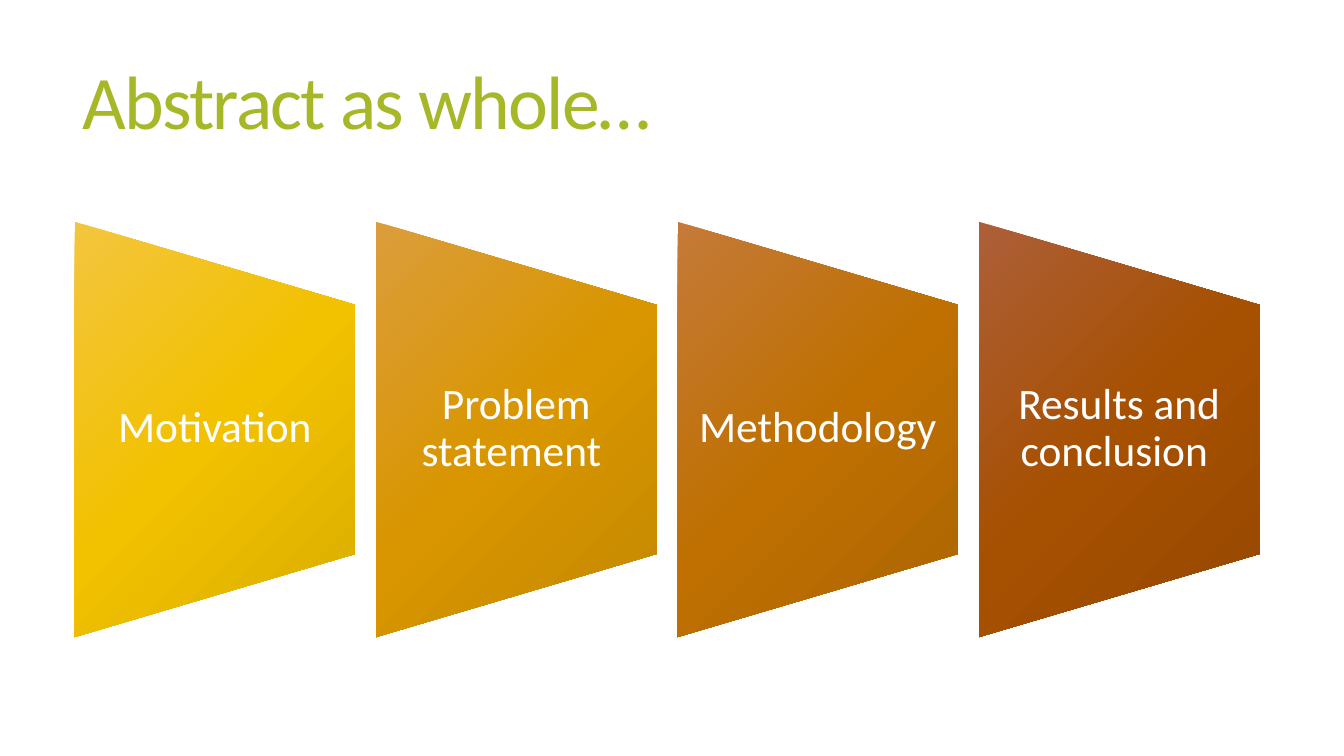
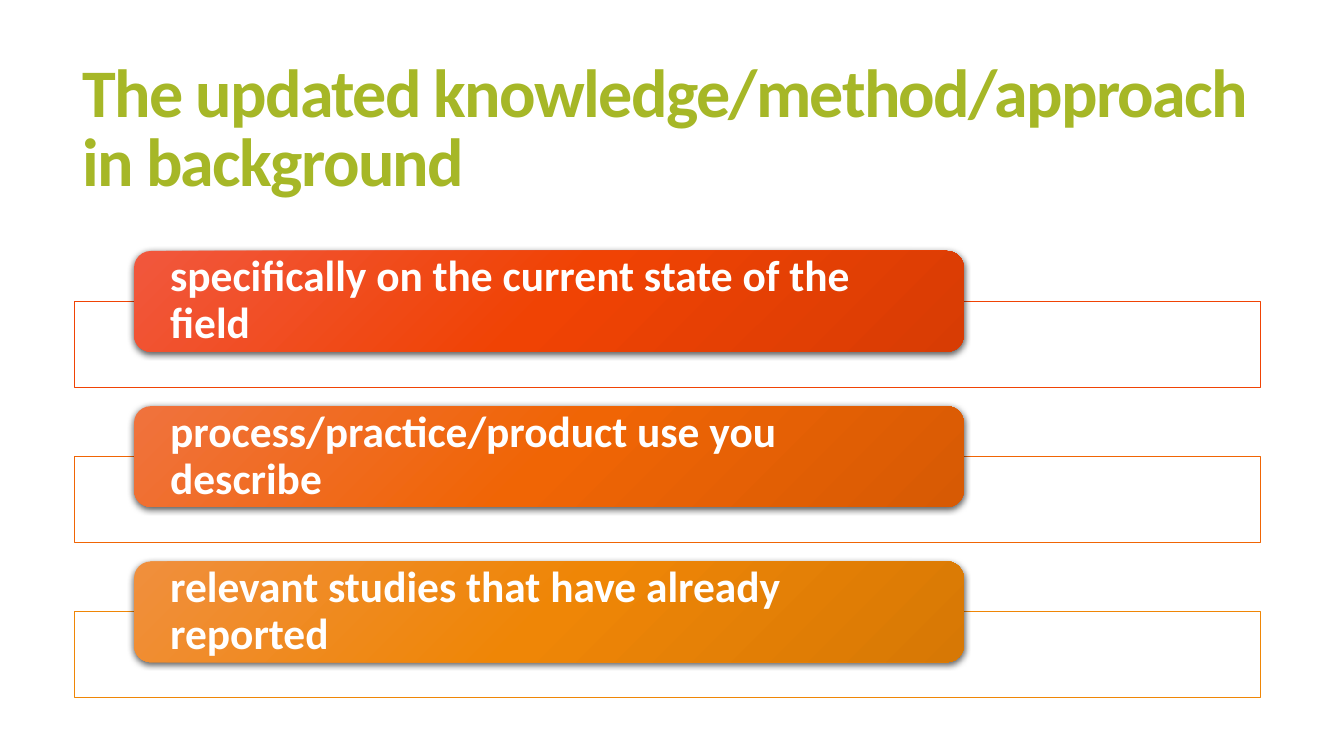
"""Build two slides: the parts of an abstract and the points of its background."""
from typing import NamedTuple

import lxml.etree
import pptx
import pptx.dml.color
import pptx.enum.shapes
import pptx.enum.text
import pptx.oxml.ns
import pptx.presentation
import pptx.shapes.autoshape
import pptx.slide
import pptx.text.text
import pptx.util

Inches = pptx.util.Inches
Align = pptx.enum.text.PP_ALIGN
Preset = pptx.enum.shapes.MSO_SHAPE
qn = pptx.oxml.ns.qn

FONT = "Calibri"
GREEN = "A6B727"
WHITE = "FFFFFF"
BLANK_LAYOUT = 6
LEFT_MARGIN = 0.74


class Box(NamedTuple):
    left: float
    top: float
    width: float
    height: float


class TextStyle(NamedTuple):
    size: float
    color: str = WHITE
    bold: bool = False
    spacing: float = 0
    line_spacing: float = 0.9
    align: Align = Align.LEFT
    inset_x: float = 0.1
    inset_y: float = 0


class Item(NamedTuple):
    text: str
    light: str
    base: str
    dark: str


ABSTRACT_PARTS = [
    Item("Motivation", "F3C53D", "F2C100", "D9AD00"),
    Item("Problem statement ", "DB9D3C", "D99600", "C38700"),
    Item("Methodology ", "C57A39", "BF7001", "AC6501"),
    Item("Results and conclusion ", "AD5F39", "A65001", "954801"),
]
BACKGROUND_POINTS = [
    Item("specifically on the current state of the field", "F1573D", "F04304", "D83C04"),
    Item("process/practice/product use you describe", "F0723D", "F06505", "D75A04"),
    Item("relevant studies that have already reported", "F08F3D", "EF8606", "D77805"),
]
PART_STYLE = TextStyle(31, align=Align.CENTER, inset_x=0.21)
POINT_STYLE = TextStyle(31, bold=True, inset_x=0.31)


def rgb(color: str) -> pptx.dml.color.RGBColor:
    """Turn a hex string into a colour."""
    return pptx.dml.color.RGBColor.from_string(color)


def add_color(parent: lxml.etree._Element, color: str, alpha: int = 100) -> None:
    """Append a colour with its opacity in percent."""
    color_node = lxml.etree.SubElement(parent, qn("a:srgbClr"), val=color)
    if alpha < 100:
        lxml.etree.SubElement(color_node, qn("a:alpha"), val=str(alpha * 1000))


def write(frame: pptx.text.text.TextFrame, text: str, style: TextStyle) -> None:
    """Fill a text frame with one styled paragraph."""
    frame.word_wrap = True
    frame.vertical_anchor = pptx.enum.text.MSO_ANCHOR.MIDDLE
    frame.margin_left = frame.margin_right = Inches(style.inset_x)
    frame.margin_top = frame.margin_bottom = Inches(style.inset_y)
    paragraph = frame.paragraphs[0]
    paragraph.alignment = style.align
    paragraph.line_spacing = style.line_spacing
    run = paragraph.add_run()
    run.text = text
    run.font.name = FONT
    run.font.size = pptx.util.Pt(style.size)
    run.font.bold = style.bold
    run.font.color.rgb = rgb(style.color)
    if style.spacing:
        run.font._element.set("spc", str(round(style.spacing * 100)))


def add_text(slide: pptx.slide.Slide, box: Box, text: str, style: TextStyle) -> None:
    """Add a text box."""
    label = slide.shapes.add_textbox(*map(Inches, box))
    write(label.text_frame, text, style)


def add_plain_shape(slide: pptx.slide.Slide, preset: Preset, box: Box) -> pptx.shapes.autoshape.Shape:
    """Add a preset shape without shadow or outline."""
    shape = slide.shapes.add_shape(preset, *map(Inches, box))
    shape.shadow.inherit = False
    shape.line.fill.background()
    return shape


def shade(shape: pptx.shapes.autoshape.Shape, item: Item) -> None:
    """Fill a shape with a diagonal gradient that stays upright on the slide."""
    shape.fill.gradient()
    gradient = shape._element.spPr.find(qn("a:gradFill"))
    gradient.clear()
    gradient.set("rotWithShape", "0")
    stops = lxml.etree.SubElement(gradient, qn("a:gsLst"))
    for position, color in zip((0, 50, 100), (item.light, item.base, item.dark)):
        add_color(lxml.etree.SubElement(stops, qn("a:gs"), pos=str(position * 1000)), color)
    lxml.etree.SubElement(gradient, qn("a:lin"), ang=str(45 * 60000), scaled="0")


def drop_shadow(shape: pptx.shapes.autoshape.Shape) -> None:
    """Cast a soft shadow straight down."""
    effects = shape._element.spPr.find(qn("a:effectLst"))
    shadow = lxml.etree.SubElement(
        effects, qn("a:outerShdw"),
        blurRad=str(pptx.util.Pt(4.5)), dist=str(pptx.util.Pt(1.5)),
        dir=str(90 * 60000), algn="ctr", rotWithShape="0",
    )
    add_color(shadow, "000000", 63)


def add_titled_slide(
    deck: pptx.presentation.Presentation, title: str, size: float, height: float, bold: bool = False
) -> pptx.slide.Slide:
    """Add a blank slide with the shared title style."""
    slide = deck.slides.add_slide(deck.slide_layouts[BLANK_LAYOUT])
    style = TextStyle(size, GREEN, bold, spacing=-1.2, line_spacing=0.85, inset_y=0.05)
    add_text(slide, Box(0.72, 0.55, 11.78, height), title, style)
    return slide


def add_abstract_part(slide: pptx.slide.Slide, index: int, part: Item) -> None:
    """Draw one tapering panel, turned on its side, with its label."""
    width, length, top = 2.78, 4.12, 2.87
    left = LEFT_MARGIN + 2.99 * index
    panel_box = Box(left - (length - width) / 2, top, length, width)
    panel = add_plain_shape(slide, Preset.FLOWCHART_MANUAL_OPERATION, panel_box)
    panel.rotation = 270
    shade(panel, part)
    add_text(slide, Box(left, 3.02, width, 2.47), part.text, PART_STYLE)


def add_background_point(slide: pptx.slide.Slide, index: int, point: Item) -> None:
    """Draw one outlined bar with a rounded heading over its upper edge."""
    top = 2.99 + 1.54 * index
    bar = add_plain_shape(slide, Preset.RECTANGLE, Box(LEFT_MARGIN, top, 11.76, 0.85))
    bar.fill.solid()
    bar.fill.fore_color.rgb = rgb(WHITE)
    bar.line.color.rgb = rgb(point.base)
    bar.line.width = pptx.util.Pt(0.75)
    heading = add_plain_shape(slide, Preset.ROUNDED_RECTANGLE, Box(1.33, top - 0.5, 8.23, 1))
    shade(heading, point)
    drop_shadow(heading)
    write(heading.text_frame, point.text, POINT_STYLE)


def main() -> None:
    """Build and save the presentation."""
    deck = pptx.Presentation()
    deck.slide_width = Inches(13.33)
    deck.slide_height = Inches(7.5)

    abstract = add_titled_slide(deck, "Abstract as whole…", 54, 1.01)
    for index, part in enumerate(ABSTRACT_PARTS):
        add_abstract_part(abstract, index, part)

    background = add_titled_slide(
        deck, "The updated knowledge/method/approach in background", 48.6, 1.5, bold=True
    )
    for index, point in enumerate(BACKGROUND_POINTS):
        add_background_point(background, index, point)

    deck.save("out.pptx")


if __name__ == "__main__":
    main()
